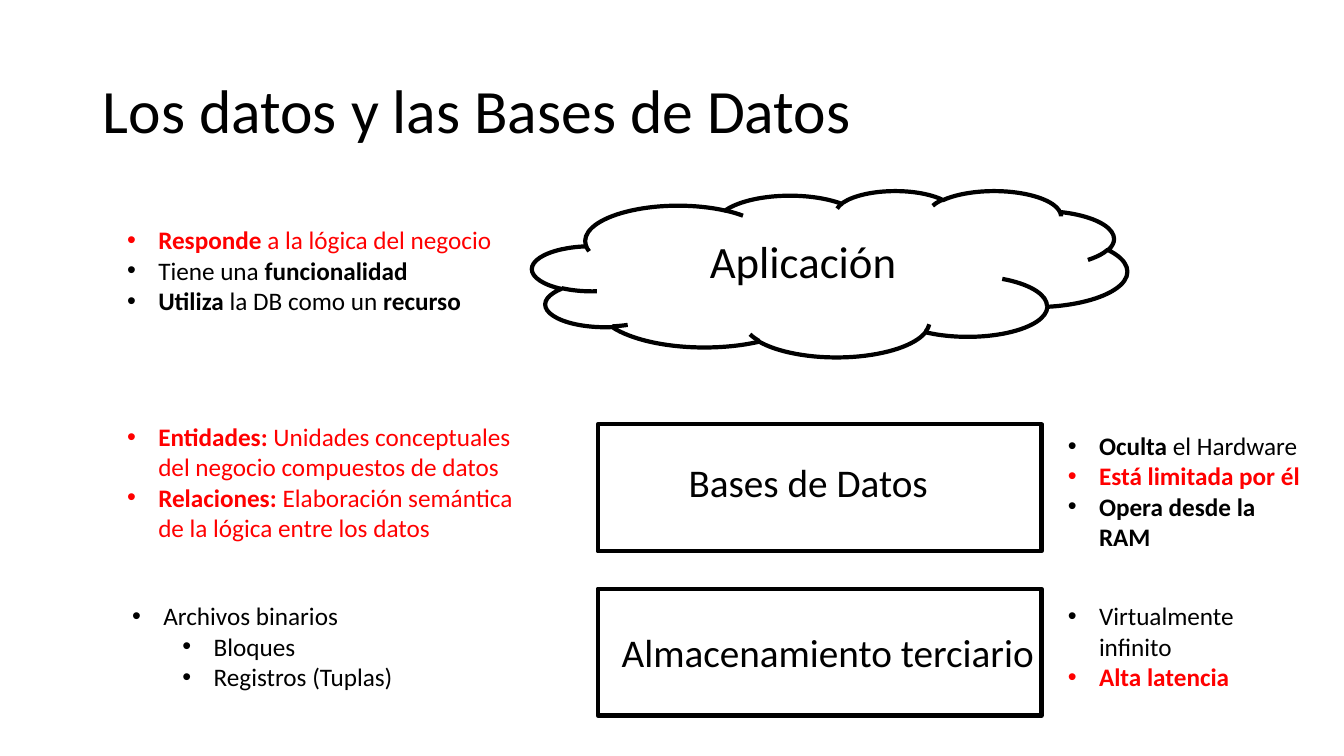
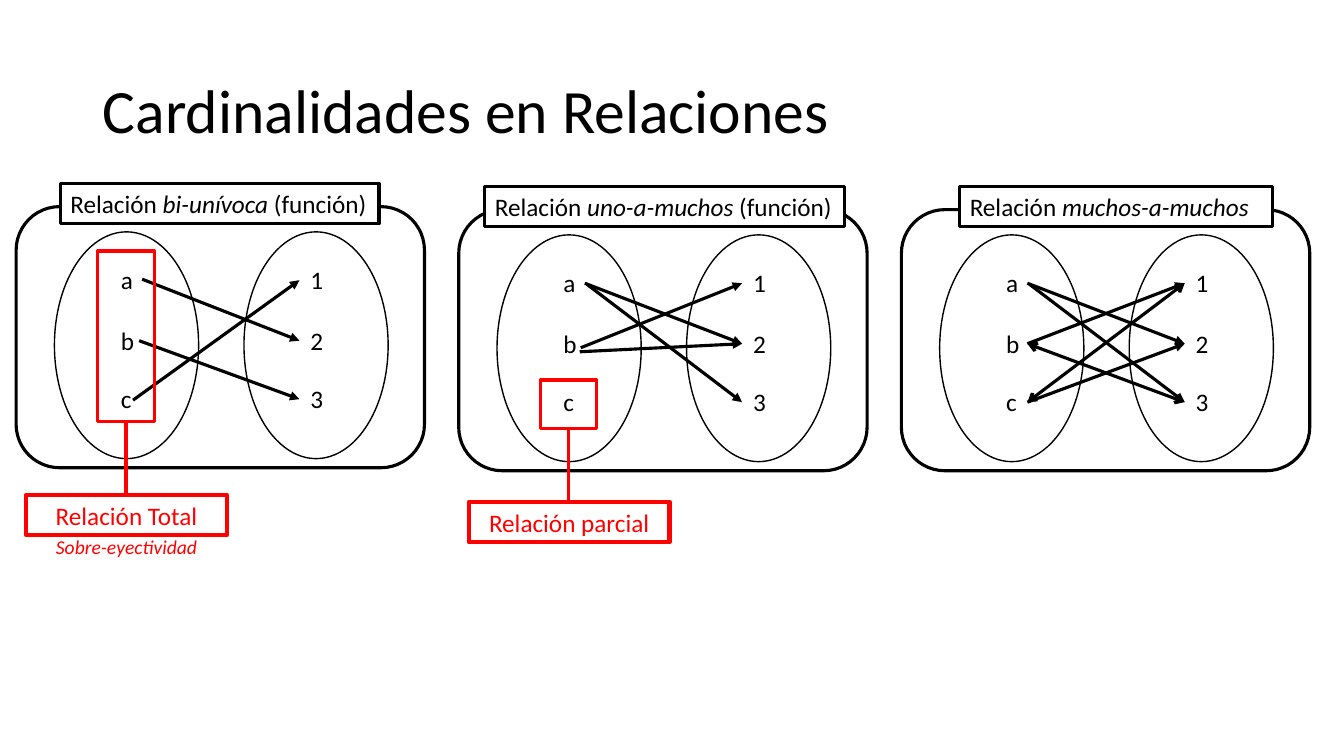
"""Build two slides on databases and on the cardinality of relations."""
from copy import deepcopy

from lxml.etree import SubElement
from pptx import Presentation
from pptx.dml.color import RGBColor
from pptx.enum.shapes import MSO_CONNECTOR as Link, MSO_SHAPE as Kind
from pptx.enum.text import MSO_ANCHOR as Anchor, MSO_AUTO_SIZE as Fit, PP_ALIGN as Align
from pptx.oxml.ns import qn
from pptx.util import Pt

SCALE = 9144
BLACK, WHITE, RED = "000000", "FFFFFF", "FF0000"
FONT = "Calibri"
TITLE = (92, 40, 1150, 145)
INDENT, STEP = 31, 50
LEFT, RIGHT = 94, 282
ROWS = (52, 113, 170)
TIPS = (73, 133, 191)
TIP = 281

LISTS = [
    ((116, 218, 412, 131), [
        (RED, 0, "*Responde *a la lógica del negocio"),
        (BLACK, 0, "Tiene una *funcionalidad*"),
        (BLACK, 0, "*Utiliza* la DB como un *recurso*")]),
    ((116, 413, 412, 131), [
        (RED, 0, "*Entidades:* Unidades conceptuales del negocio compuestos de datos"),
        (RED, 0, "*Relaciones: *Elaboración semántica de la lógica entre los datos")]),
    ((121, 591, 412, 101), [
        (BLACK, 0, "Archivos binarios"),
        (BLACK, 1, "Bloques"),
        (BLACK, 1, "Registros (Tuplas)")]),
    ((1049, 422, 259, 131), [
        (BLACK, 0, "*Oculta* el Hardware"),
        (RED, 0, "*Está limitada por él*"),
        (BLACK, 0, "*Opera desde la RAM*")]),
    ((1049, 591, 259, 101), [
        (BLACK, 0, "Virtualmente infinito"),
        (RED, 0, "*Alta latencia*")]),
]

MAPS = [
    (16, 205, (44, 316), "Relación *bi-unívoca* (función)",
     [(125, 72, 1, ""), (122, 133, 2, ""), (116, 192, 0, "")]),
    (455, 208, (26, 357), "Relación *uno-a-muchos* (función)",
     [(125, 73, 1, ""), (127, 74, 2, ""), (121, 137, 0, ""), (120, 141, 1, "")]),
    (894, 208, (58, 310), "Relación *muchos-a-muchos*",
     [(125, 73, 1, ""), (127, 74, 2, ""), (125, 133, 0, ""), (125, 191, 1, ""),
      (125, 133, 2, "both"), (125, 191, 0, "both")]),
]


def px(*nums):
    """Turn whole px into a list of EMU."""
    return [n * SCALE for n in nums]


def rgb(code):
    """Turn a hex string into a colour."""
    return RGBColor.from_string(code)


def put(item, form):
    """Set each attribute named in a dict."""
    for key, val in form.items():
        setattr(item, key, val)


def place(shape, box):
    """Move a placeholder to a box in px."""
    put(shape, dict(zip(("left", "top", "width", "height"), px(*box))))


def write(para, text, size, hue=BLACK, mark="italic", align=Align.LEFT, gap=1.0):
    """Fill a paragraph, with the parts between asterisks marked."""
    put(para, {"alignment": align, "line_spacing": gap, "space_before": Pt(0)})
    for n, part in enumerate(text.split("*")):
        if part:
            run = para.add_run()
            run.text = part
            put(run.font, {"name": FONT, "size": Pt(size), mark: bool(n % 2)})
            run.font.color.rgb = rgb(hue)


def head(slide, text):
    """Place and fill the slide title."""
    title = slide.shapes.title
    place(title, TITLE)
    put(title.text_frame, {"vertical_anchor": Anchor.MIDDLE, "auto_size": Fit.NONE})
    write(title.text_frame.paragraphs[0], text, 44, gap=0.9)


def label(home, box, text, size=18, hue=BLACK, align=Align.CENTER):
    """Add a plain text box."""
    frame = home.add_textbox(*px(*box)).text_frame
    frame.word_wrap = True
    write(frame.paragraphs[0], text, size, hue, align=align)


def form(home, kind, box, width, hue=BLACK, fill=None):
    """Add an outlined preset shape."""
    shape = home.add_shape(kind, *px(*box))
    shape.shadow.inherit = False
    if fill:
        shape.fill.solid()
        shape.fill.fore_color.rgb = rgb(fill)
    else:
        shape.fill.background()
    shape.line.color.rgb = rgb(hue)
    shape.line.width = Pt(width)
    return shape


def tag(home, box, text, width, hue=BLACK, fill=None, align=Align.LEFT):
    """Add a framed line of text."""
    frame = form(home, Kind.RECTANGLE, box, width, hue, fill).text_frame
    put(frame, {"word_wrap": True, "vertical_anchor": Anchor.TOP})
    write(frame.paragraphs[0], text, 18, hue, align=align)


def line(home, ends, hue=BLACK, tips=()):
    """Add a straight line with the given arrowheads."""
    link = home.add_connector(Link.STRAIGHT, *px(*ends))
    link.line.color.rgb = rgb(hue)
    link.line.width = Pt(2.25)
    for end, kind in tips:
        SubElement(link.line._get_or_add_ln(), qn(f"a:{end}End")).set("type", kind)
    SubElement(link._element.spPr, qn("a:effectLst"))


def bullets(holder, box, items):
    """Fill a body placeholder with a bulleted list."""
    place(holder, box)
    frame = holder.text_frame
    put(frame, {"word_wrap": True, "auto_size": Fit.NONE})
    for n, (hue, level, text) in enumerate(items):
        para = frame.add_paragraph() if n else frame.paragraphs[0]
        para.level = level
        write(para, text, 18, hue, "bold")
        props = para._p.get_or_add_pPr()
        left, hang = px(INDENT + level * STEP, -INDENT)
        props.set("marL", str(left))
        props.set("indent", str(hang))
        SubElement(props, qn("a:buFont")).set("typeface", "Arial")
        SubElement(props, qn("a:buChar")).set("char", "•")


def extend(layout, count):
    """Give a layout as many body placeholders as there are lists."""
    body = layout.placeholders[1]._element
    for n in range(1, count):
        twin = deepcopy(body)
        props = next(twin.iter(qn("p:cNvPr")))
        props.set("id", str(20 + n))
        props.set("name", f"List {n + 1}")
        next(twin.iter(qn("p:ph"))).set("idx", str(20 + n))
        body.getparent().append(twin)


def layers(deck):
    """Build the slide on the layers around a database."""
    layout = deck.slide_layouts[1]
    extend(layout, len(LISTS))
    slide = deck.slides.add_slide(layout)
    head(slide, "Los datos y las Bases de Datos")
    bodies = [p for p in slide.placeholders if p.placeholder_format.idx]
    for holder, (box, items) in zip(bodies, LISTS):
        bullets(holder, box, items)
    home = slide.shapes
    form(home, Kind.CLOUD, (528, 189, 590, 165), 3, fill=WHITE)
    for top in (421, 584):
        form(home, Kind.RECTANGLE, (593, top, 440, 126), 3)
    label(home, (567, 227, 459, 64), "Aplicación", 32)
    label(home, (629, 450, 345, 57), "Bases de Datos", 28)
    label(home, (593, 618, 456, 57), "Almacenamiento terciario", 28)


def diagram(slide, x, y, span, name, arrows):
    """Draw two sets and the arrows between them."""
    home = slide.shapes.add_group_shape().shapes
    for col, marks in ((LEFT, "abc"), (RIGHT, "123")):
        form(home, Kind.OVAL, (x + col - 56, y + 25, 143, 225), 1)
        for row, mark in zip(ROWS, marks):
            label(home, (x + col, y + row, 31, 40), mark, align=Align.LEFT)
    for left, top, row, both in arrows:
        tips = [("head", "arrow"), ("tail", "arrow")] if both else [("tail", "triangle")]
        line(home, (x + left, y + top, x + TIP, y + TIPS[row]), tips=tips)
    form(home, Kind.ROUNDED_RECTANGLE, (x, y, 405, 259), 2.25)
    shift, width = span
    tag(home, (x + shift, y - 23, width, 40), name, 2.25, fill=WHITE)


def callout(slide, x, top, high, low, text):
    """Frame some members in red and name them below."""
    home = slide.shapes.add_group_shape().shapes
    tag(home, (x + 10, low, 199, 40), text, 3, RED, align=Align.CENTER)
    form(home, Kind.RECTANGLE, (x + 81, top, 56, high), 2.25, RED)
    line(home, (x + 109, top + high, x + 109, low), RED)


def relations(deck):
    """Build the slide on cardinalities."""
    slide = deck.slides.add_slide(deck.slide_layouts[5])
    head(slide, "Cardinalidades en Relaciones")
    for item in MAPS:
        diagram(slide, *item)
    callout(slide, MAPS[0][0], 249, 169, 491, "Relación Total")
    callout(slide, MAPS[1][0], 377, 48, 498, "Relación parcial")
    label(slide.shapes, (23, 526, 205, 34), "*Sobre-eyectividad*", 14, RED)


def main():
    """Make the deck and save it."""
    deck = Presentation()
    deck.slide_width, deck.slide_height = px(1333, 750)
    layers(deck)
    relations(deck)
    deck.save("out.pptx")


if __name__ == "__main__":
    main()
